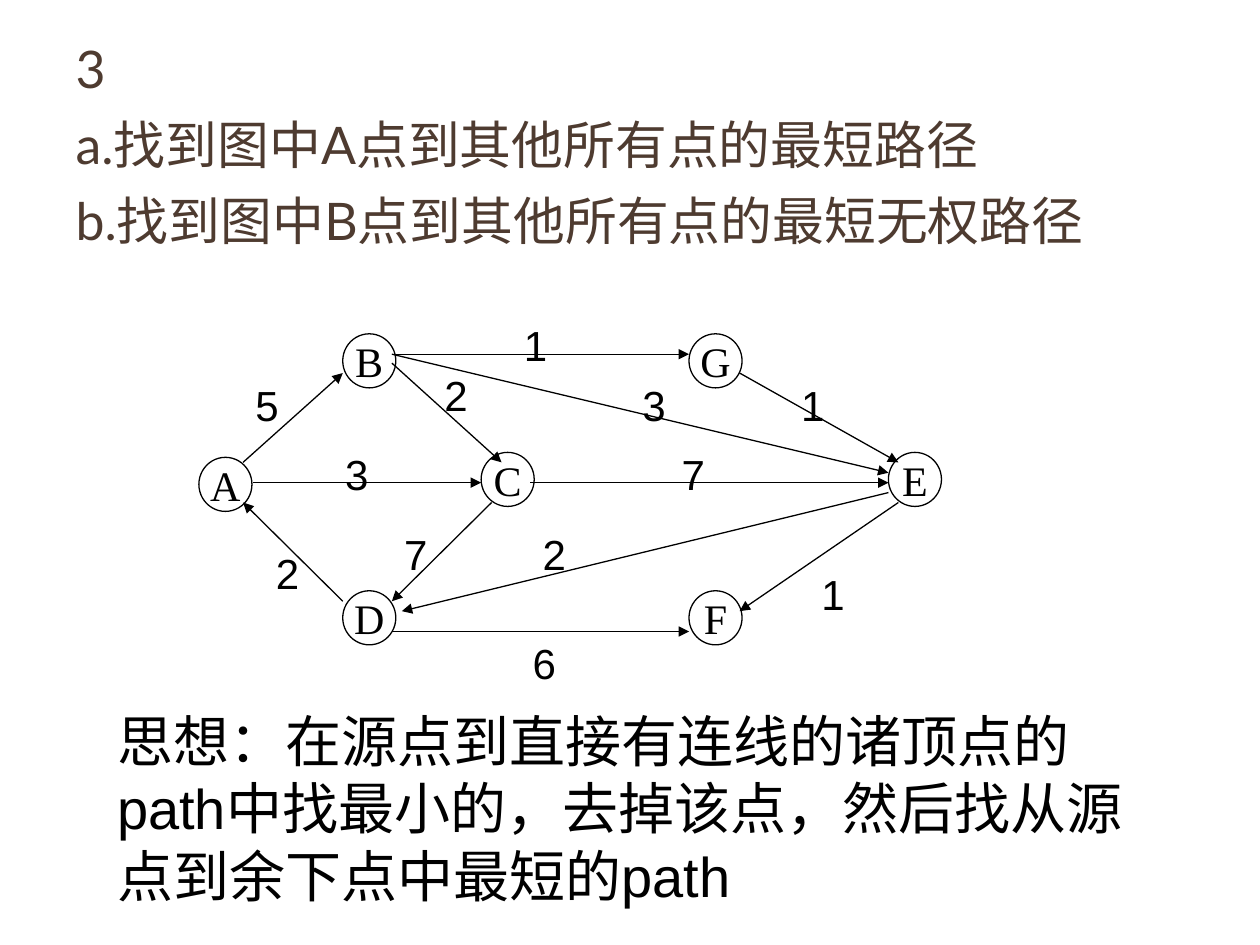
from typing import NamedTuple

import pptx
import pptx.dml.color
import pptx.enum.shapes
import pptx.enum.text
import pptx.oxml
import pptx.oxml.ns
import pptx.util

Cm = pptx.util.Cm
Pt = pptx.util.Pt
RGBColor = pptx.dml.color.RGBColor
ALIGN = pptx.enum.text.PP_ALIGN
ANCHOR = pptx.enum.text.MSO_ANCHOR

BLACK = RGBColor(0x00, 0x00, 0x00)
BROWN = RGBColor(0x4E, 0x3B, 0x30)

NODE_WIDTH, NODE_HEIGHT = 1.07, 1.09
LABEL_HEIGHT = 1.27
UPPER, MIDDLE, LOWER = 6.73, 9.12, 11.91
LEFT_COLUMN, RIGHT_COLUMN = 6.91, 13.89

QUESTION = (
    "3",
    "a.找到图中A点到其他所有点的最短路径",
    "b.找到图中B点到其他所有点的最短无权路径",
)
IDEA = "思想：在源点到直接有连线的诸顶点的 path中找最小的，去掉该点，然后找从源点到余下点中最短的path"


class Node(NamedTuple):
    name: str
    left: float
    top: float


class Edge(NamedTuple):
    """A directed edge; lengths are in centimetres."""
    start: tuple[float, float]
    end: tuple[float, float]
    weight: str
    label_at: tuple[float, float]
    label_width: float


NODES = (
    Node("A", 4.01, 9.22),
    Node("B", LEFT_COLUMN, UPPER),
    Node("D", LEFT_COLUMN, LOWER),
    Node("G", RIGHT_COLUMN, UPPER),
    Node("F", RIGHT_COLUMN, LOWER),
    Node("C", 9.7, MIDDLE),
    Node("E", 17.91, MIDDLE),
)

EDGES = (
    Edge((4.9, 9.32), (6.91, 7.52), "5", (4.9, 7.52), 0.79),      # A to B
    Edge((6.91, 12.12), (4.9, 10.13), "2", (5.31, 10.92), 0.99),  # D to A
    Edge((5.11, 9.73), (9.7, 9.73), "3", (6.71, 8.92), 1.4),      # A to C
    Edge((7.9, 7.32), (10.11, 9.32), "2", (8.71, 7.32), 0.99),    # B to C
    Edge((9.91, 10.13), (7.9, 12.12), "7", (7.9, 10.52), 0.81),   # C to D
    Edge((10.69, 9.73), (17.91, 9.73), "7", (13.49, 8.92), 1.8),  # C to E
    Edge((7.9, 7.14), (13.89, 7.14), "1", (10.31, 6.32), 1.4),    # B to G
    Edge((14.91, 7.52), (18.11, 9.32), "1", (15.9, 7.52), 1.4),   # G to E
    Edge((7.9, 7.14), (17.91, 9.53), "3", (12.7, 7.52), 0.79),    # B to E
    Edge((7.9, 12.73), (13.89, 12.73), "6", (10.49, 12.73), 2.59),  # D to F
    Edge((17.91, 9.93), (8.1, 12.32), "2", (10.69, 10.52), 1.4),  # E to D
    Edge((18.11, 10.13), (14.91, 12.32), "1", (16.31, 11.33), 1.19),  # E to F
)


def add_span(para, text: str, size: float, font: str, color: RGBColor) -> None:
    span = para.add_run()
    span.text = text
    span.font.size = Pt(size)
    span.font.name = font
    span.font.color.rgb = color


def add_text(page, left: float, top: float, width: float, height: float,
             text: str, size: float) -> None:
    box = page.shapes.add_textbox(Cm(left), Cm(top), Cm(width), Cm(height))
    box.text_frame.word_wrap = True
    add_span(box.text_frame.paragraphs[0], text, size, "Arial", BLACK)


def fill_question(title) -> None:
    title.left, title.top = Cm(1.27), Cm(0.61)
    title.width, title.height = Cm(22.86), Cm(5.13)
    frame = title.text_frame
    frame.word_wrap = True
    frame.auto_size = pptx.enum.text.MSO_AUTO_SIZE.NONE
    frame.vertical_anchor = ANCHOR.TOP
    for index, text in enumerate(QUESTION):
        para = frame.add_paragraph() if index else frame.paragraphs[0]
        para.alignment = ALIGN.LEFT
        para.space_before = Pt(8 if index else 0)
        properties = para._p.get_or_add_pPr()
        properties.set("marL", str(Cm(0.95)))
        properties.set("indent", str(-Cm(0.95)))
        add_span(para, text, 29.6, "Lato", BROWN)


def draw_node(page, node: Node) -> None:
    circle = page.shapes.add_shape(
        pptx.enum.shapes.MSO_SHAPE.OVAL,
        Cm(node.left), Cm(node.top), Cm(NODE_WIDTH), Cm(NODE_HEIGHT))
    circle.shadow.inherit = False
    circle.fill.background()
    circle.line.color.rgb = BLACK
    circle.line.width = Pt(0.75)
    frame = circle.text_frame
    frame.word_wrap = False
    frame.vertical_anchor = ANCHOR.MIDDLE
    para = frame.paragraphs[0]
    para.alignment = ALIGN.CENTER
    add_span(para, node.name, 24, "Times New Roman", BLACK)


def draw_edge(page, edge: Edge) -> None:
    arrow = page.shapes.add_connector(
        pptx.enum.shapes.MSO_CONNECTOR.STRAIGHT,
        *(Cm(value) for value in edge.start + edge.end))
    arrow.line.color.rgb = BLACK
    arrow.line.width = Pt(0.75)
    head = pptx.oxml.parse_xml(
        f'<a:tailEnd {pptx.oxml.ns.nsdecls("a")} type="triangle"/>')
    arrow.line._get_or_add_ln().append(head)
    no_effects = pptx.oxml.parse_xml(
        f'<a:effectLst {pptx.oxml.ns.nsdecls("a")}/>')
    arrow._element.spPr.append(no_effects)
    add_text(page, *edge.label_at, edge.label_width, LABEL_HEIGHT,
             edge.weight, 24)


def main() -> None:
    deck = pptx.Presentation()
    deck.slide_width, deck.slide_height = Cm(25.4), Cm(19.05)
    page = deck.slides.add_slide(deck.slide_layouts.get_by_name("Title Only"))
    fill_question(page.shapes.title)
    for node in NODES:
        draw_node(page, node)
    for edge in EDGES:
        draw_edge(page, edge)
    add_text(page, 2.11, 14.12, 21.21, 4.32, IDEA, 32)
    deck.save("out.pptx")


if __name__ == "__main__":
    main()
